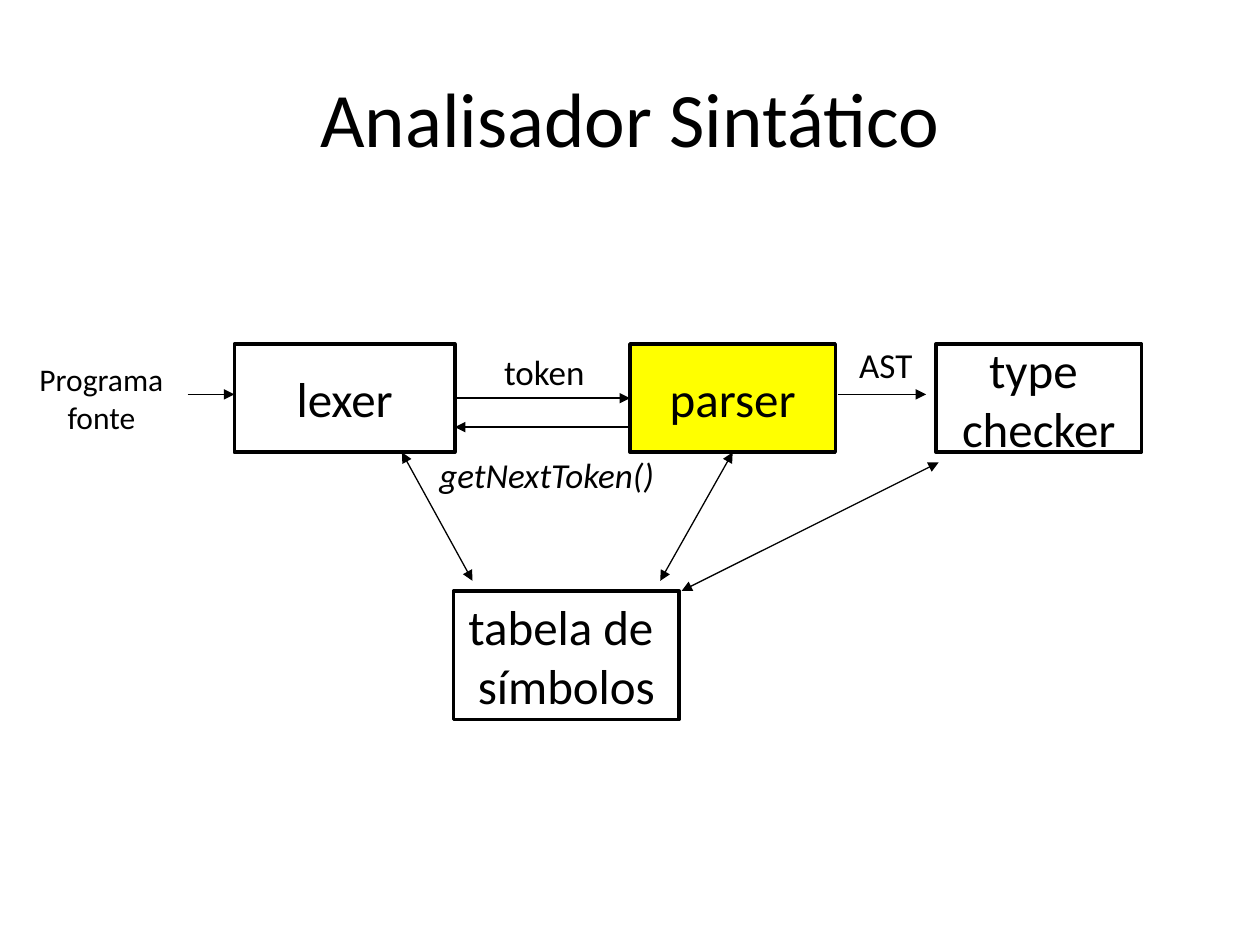
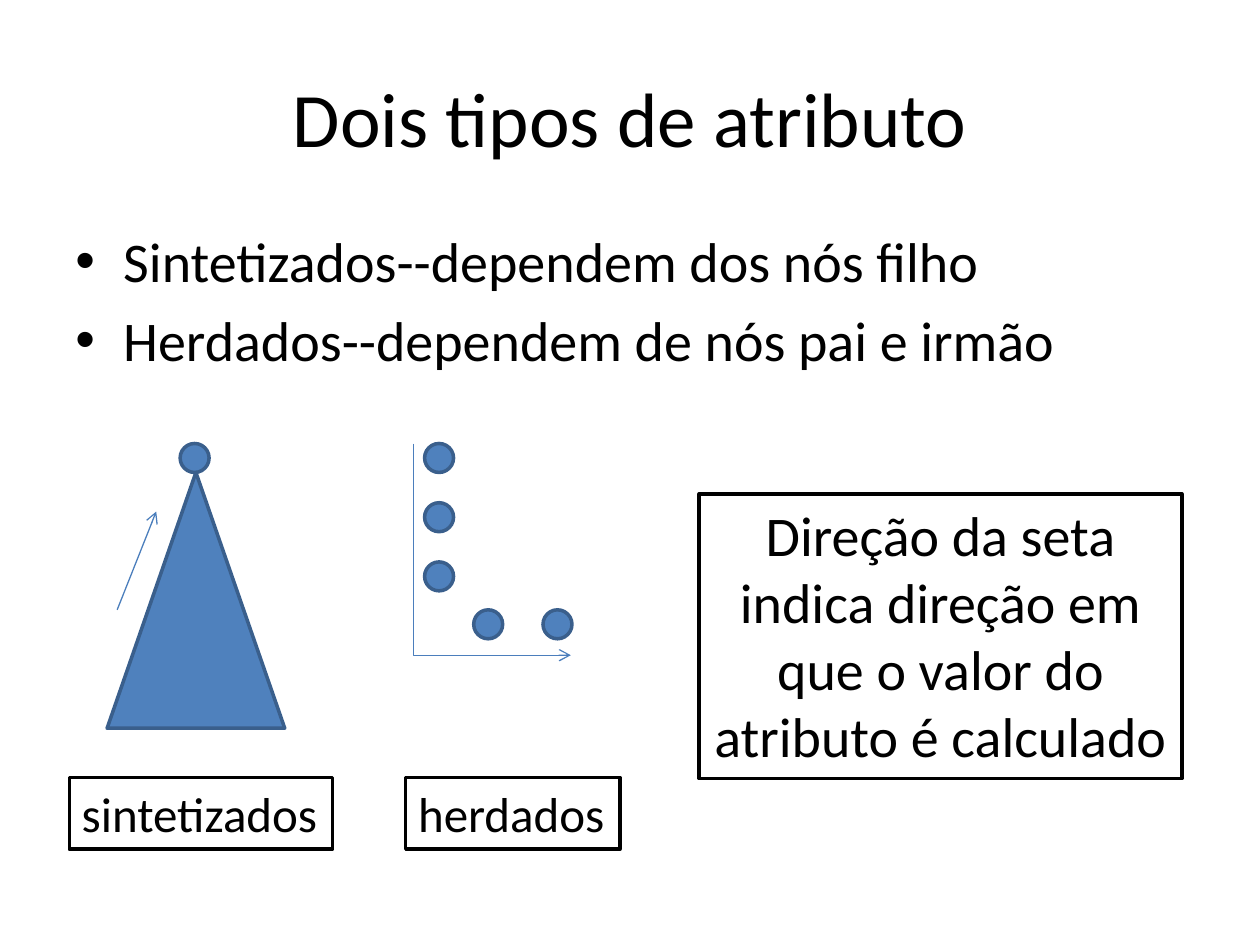
from lxml import etree
from pptx import Presentation
from pptx import util as u
from pptx.dml.color import RGBColor
from pptx.enum import shapes, text
from pptx.oxml import ns

PX = u.Inches(1) // 100
FONT = "Calibri"
BLACK = RGBColor(0, 0, 0)
WHITE = RGBColor(255, 255, 255)
YELLOW = RGBColor(255, 255, 0)
BLUE = RGBColor(0x4F, 0x81, 0xBD)
DARK_BLUE = RGBColor(0x3A, 0x5F, 0x8C)
LINE_BLUE = RGBColor(0x4B, 0x7E, 0xBC)
CENTER = text.PP_ALIGN.CENTER
LEFT = text.PP_ALIGN.LEFT
TOP = text.MSO_ANCHOR.TOP
MIDDLE = text.MSO_ANCHOR.MIDDLE
BOTTOM_SIDE, LEFT_SIDE, RIGHT_SIDE = 2, 1, 3


def px(*values):
    return [u.Emu(v * PX) for v in values]


class Deck:
    def __init__(self):
        self.prs = Presentation()
        self.prs.slide_width, self.prs.slide_height = px(1000, 750)
        self.s = None

    def slide(self, title):
        self.s = self.prs.slides.add_slide(self.prs.slide_layouts[5])
        sp = self.s.shapes.title
        sp.left, sp.top, sp.width, sp.height = px(50, 30, 900, 125)
        self.fill_text(sp, [title], 44, anchor=MIDDLE)

    def fill_text(self, sp, paragraphs, size, align=CENTER, anchor=TOP,
                  wrap=True, italic=False, bullet=False):
        tf = sp.text_frame
        tf.word_wrap = wrap
        tf.vertical_anchor = anchor
        for i, content in enumerate(paragraphs):
            p = tf.add_paragraph() if i else tf.paragraphs[0]
            p.alignment = align
            if bullet:
                self.bullet(p)
                p.space_before = u.Pt(size * 0.2 if i else 0)
            for j, line in enumerate(content.split("\n")):
                if j:
                    p.add_line_break()
                r = p.add_run()
                r.text = line
                r.font.name = FONT
                r.font.size = u.Pt(size)
                r.font.italic = italic
                r.font.color.rgb = BLACK

    def bullet(self, p):
        pPr = p._p.get_or_add_pPr()
        indent = px(38)[0]
        pPr.set("marL", str(indent))
        pPr.set("indent", str(-indent))
        etree.SubElement(pPr, ns.qn("a:buFont"), typeface="Arial")
        etree.SubElement(pPr, ns.qn("a:buChar"), char="•")

    def text(self, x, y, w, h, paragraphs, size, **style):
        sp = self.s.shapes.add_textbox(*px(x, y, w, h))
        self.fill_text(sp, paragraphs, size, **style)

    def shape(self, kind, x, y, w, h, fill=BLUE, line=DARK_BLUE):
        sp = self.s.shapes.add_shape(kind, *px(x, y, w, h))
        sp.shadow.inherit = False
        if fill is None:
            sp.fill.background()
        else:
            sp.fill.solid()
            sp.fill.fore_color.rgb = fill
        sp.line.color.rgb = line
        sp.line.width = u.Pt(2)
        return sp

    def box(self, x, y, w, h, paragraphs, size=28, fill=WHITE, **style):
        sp = self.shape(shapes.MSO_SHAPE.RECTANGLE, x, y, w, h, fill, BLACK)
        self.fill_text(sp, paragraphs, size, **style)
        return sp

    def node(self, x, y):
        self.shape(shapes.MSO_SHAPE.OVAL, x, y, 23, 23)

    def arrow(self, start, end, color=BLACK, tip="triangle", both=False,
              begin_at=None, end_at=None, kind=shapes.MSO_CONNECTOR.STRAIGHT):
        c = self.s.shapes.add_connector(kind, *px(*start, *end))
        if begin_at:
            c.begin_connect(*begin_at)
        if end_at:
            c.end_connect(*end_at)
        c.line.color.rgb = color
        c.line.width = u.Pt(0.75)
        spPr = c._element.spPr
        ln = spPr.find(ns.qn("a:ln"))
        if both:
            etree.SubElement(ln, ns.qn("a:headEnd"), type=tip)
        etree.SubElement(ln, ns.qn("a:tailEnd"), type=tip)
        etree.SubElement(spPr, ns.qn("a:effectLst"))
        return c

    def corner_arrow(self, start, end, **style):
        c = self.arrow(start, end, kind=shapes.MSO_CONNECTOR.ELBOW, **style)
        w, h = c.width, c.height
        c.left, c.top = c.left + (w - h) // 2, c.top + (h - w) // 2
        c.width, c.height = h, w
        spPr = c._element.spPr
        spPr.find(ns.qn("a:prstGeom")).set("prst", "bentConnector2")
        xfrm = spPr.find(ns.qn("a:xfrm"))
        xfrm.set("rot", str(270 * 60000))
        xfrm.set("flipH", "1")


def parser_slide(d):
    d.slide("Analisador Sintático")
    stage = dict(anchor=MIDDLE, wrap=False)
    d.text(21, 281, 119, 71, ["Programa\nfonte"], 18, wrap=False)
    lexer = d.box(186, 273, 175, 86, ["lexer"], **stage)
    parser = d.box(500, 273, 163, 86, ["parser"], fill=YELLOW, **stage)
    d.box(743, 273, 163, 86, ["type ", "checker"], **stage)
    d.box(360, 469, 179, 102, ["tabela de \nsímbolos"], **stage)

    d.text(321, 355, 226, 44, ["getNextToken()"], 20, italic=True)
    d.text(384, 273, 96, 44, ["token"], 20)
    d.text(655, 268, 96, 44, ["AST"], 20)

    d.arrow((361, 316), (500, 316),
            begin_at=(lexer, RIGHT_SIDE), end_at=(parser, LEFT_SIDE))
    d.arrow((149, 313), (186, 313))
    d.arrow((500, 339), (361, 339))
    d.arrow((665, 313), (735, 313))
    d.arrow((375, 461), (319, 359), both=True)
    d.arrow((524, 461), (581, 359), both=True, end_at=(parser, BOTTOM_SIDE))
    d.arrow((541, 469), (745, 367), both=True)


def attributes_slide(d):
    d.slide("Dois tipos de atributo")
    d.text(50, 175, 900, 145,
           ["Sintetizados--dependem dos nós filho",
            "Herdados--dependem de nós pai e irmão"],
           32, align=LEFT, bullet=True)

    flow = dict(color=LINE_BLUE, tip="arrow")
    d.shape(shapes.MSO_SHAPE.ISOSCELES_TRIANGLE, 85, 375, 141, 203)
    d.arrow((93, 484), (124, 406), **flow)
    d.node(143, 352)
    for row in range(3):
        d.node(337, 352 + 47 * row)
    for column in range(2):
        d.node(376 + 55 * column, 484)
    d.corner_arrow((328, 352), (453, 520), **flow)

    for x, w, label in ((55, 209, "sintetizados"), (322, 170, "herdados")):
        d.box(x, 617, w, 57, [label], align=LEFT, wrap=False)
    d.box(555, 392, 383, 226,
          ["Direção da seta indica direção em que o valor do "
           "atributo é calculado"], 32, fill=None)


def main():
    d = Deck()
    parser_slide(d)
    attributes_slide(d)
    d.prs.save("out.pptx")


if __name__ == "__main__":
    main()
